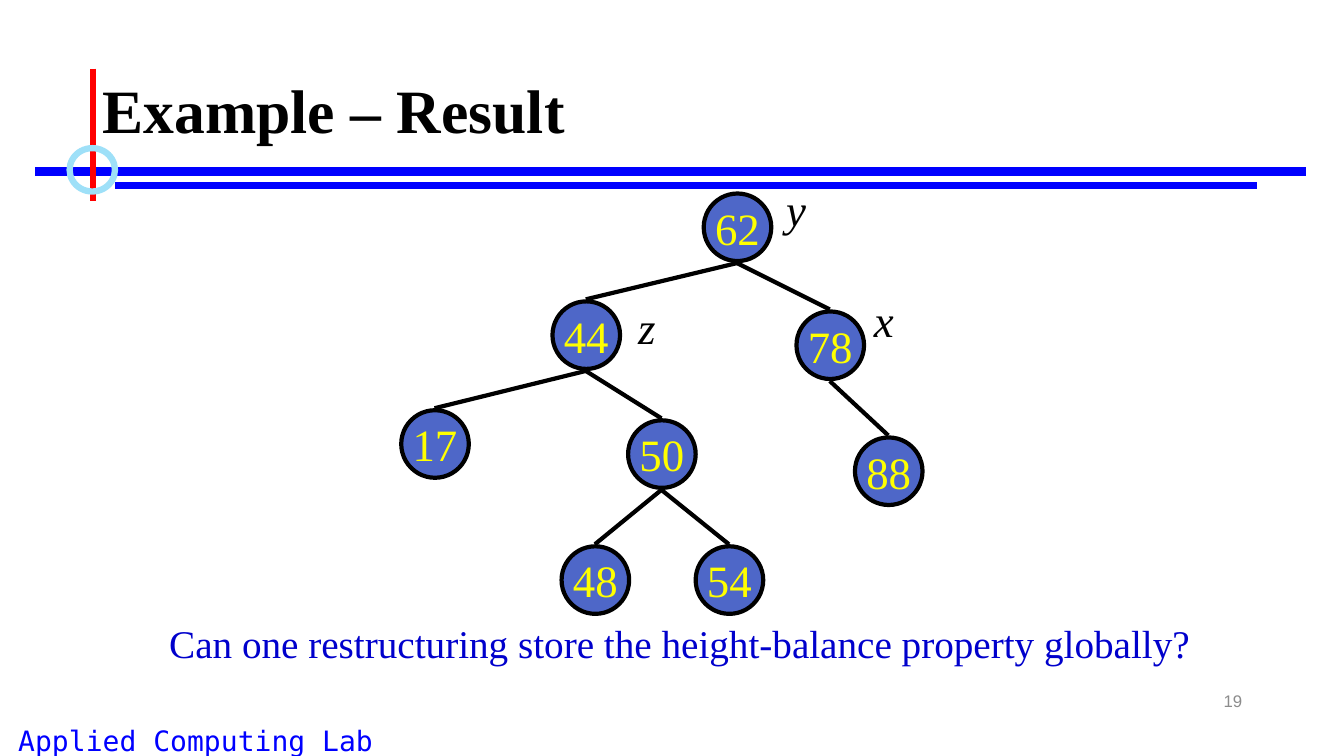
from dataclasses import dataclass

import pptx
import pptx.dml.color
import pptx.enum.shapes
import pptx.enum.text
import pptx.oxml
import pptx.oxml.ns
import pptx.shapes.base
import pptx.slide
import pptx.util

RGBColor = pptx.dml.color.RGBColor
Align = pptx.enum.text.PP_ALIGN
Anchor = pptx.enum.text.MSO_ANCHOR

BLACK = RGBColor(0x00, 0x00, 0x00)
BLUE = RGBColor(0x00, 0x00, 0xFF)
DARK_BLUE = RGBColor(0x00, 0x00, 0xCC)
RED = RGBColor(0xFF, 0x00, 0x00)
SKY = RGBColor(0x9E, 0xE0, 0xF8)
GRAY = RGBColor(0x8C, 0x8C, 0x8C)
NODE_FILL = RGBColor(0x4E, 0x67, 0xC8)
YELLOW = RGBColor(0xFF, 0xFF, 0x00)

SERIF = "Times New Roman"
EMU_PER_PX = 9144  # 100 px to the inch
NODE_SIZE = 67
EDGE_GAP = 2


@dataclass(frozen=True)
class Rule:
    start: tuple[int, int]
    end: tuple[int, int]
    color: RGBColor
    width: float


@dataclass(frozen=True)
class Node:
    left: int
    top: int
    parent: int | None = None

    @property
    def center(self) -> int:
        return self.left + NODE_SIZE // 2


@dataclass(frozen=True)
class Label:
    text: str
    left: int
    top: int


RULES = [
    Rule((35, 170), (1295, 170), BLUE, 6),
    Rule((114, 184), (1247, 184), BLUE, 4.5),
    Rule((92, 68), (92, 199), RED, 4.5),
]

NODES = {
    62: Node(698, 192),
    44: Node(548, 299, parent=62),
    78: Node(790, 309, parent=62),
    17: Node(398, 407, parent=44),
    50: Node(623, 417, parent=44),
    88: Node(848, 434, parent=78),
    48: Node(557, 542, parent=50),
    54: Node(690, 542, parent=50),
}

LABELS = [Label("z", 623, 292), Label("y", 770, 175), Label("x", 857, 286)]


def px(length: int) -> pptx.util.Emu:
    return pptx.util.Emu(length * EMU_PER_PX)


def write_text(shape: pptx.shapes.base.BaseShape, text: str, *, size: int,
               color: RGBColor, font: str = SERIF, bold: bool = False,
               italic: bool = False, align: Align = Align.LEFT,
               anchor: Anchor = Anchor.TOP, wrap: bool = True,
               line_spacing: float = 1.0) -> None:
    frame = shape.text_frame
    frame.word_wrap = wrap
    frame.vertical_anchor = anchor
    para = frame.paragraphs[0]
    para.alignment = align
    para.line_spacing = line_spacing
    span = para.add_run()
    span.text = text
    span.font.name = font
    span.font.size = pptx.util.Pt(size)
    span.font.bold = bold
    span.font.italic = italic
    span.font.color.rgb = color


def add_box(page: pptx.slide.Slide, left: int, top: int, width: int,
            height: int) -> pptx.shapes.base.BaseShape:
    return page.shapes.add_textbox(px(left), px(top), px(width), px(height))


def add_rule(page: pptx.slide.Slide, rule: Rule) -> None:
    line = page.shapes.add_connector(
        pptx.enum.shapes.MSO_CONNECTOR.STRAIGHT,
        *map(px, rule.start), *map(px, rule.end))
    line.line.color.rgb = rule.color
    line.line.width = pptx.util.Pt(rule.width)
    properties = line._element.spPr
    properties.append(pptx.oxml.parse_xml(
        f"<a:effectLst {pptx.oxml.ns.nsdecls('a')}/>"))


def add_ellipse(page: pptx.slide.Slide, left: int, top: int, width: int,
                height: int, *, line_color: RGBColor, line_width: float,
                fill: RGBColor | None = None) -> pptx.shapes.base.BaseShape:
    ellipse = page.shapes.add_shape(
        pptx.enum.shapes.MSO_SHAPE.OVAL,
        px(left), px(top), px(width), px(height))
    ellipse.shadow.inherit = False
    if fill is None:
        ellipse.fill.background()
    else:
        ellipse.fill.solid()
        ellipse.fill.fore_color.rgb = fill
    ellipse.line.color.rgb = line_color
    ellipse.line.width = pptx.util.Pt(line_width)
    return ellipse


def add_tree(page: pptx.slide.Slide) -> None:
    for key, node in NODES.items():
        circle = add_ellipse(page, node.left, node.top, NODE_SIZE, NODE_SIZE,
                             line_color=BLACK, line_width=3, fill=NODE_FILL)
        write_text(circle, str(key), size=32, color=YELLOW,
                   align=Align.CENTER, anchor=Anchor.MIDDLE, wrap=False)
        if node.parent is not None:
            parent = NODES[node.parent]
            add_rule(page, Rule(
                (parent.center, parent.top + NODE_SIZE + EDGE_GAP),
                (node.center, node.top - EDGE_GAP), BLACK, 3))
    for label in LABELS:
        write_text(add_box(page, label.left, label.top, 40, 63), label.text,
                   size=32, color=BLACK, italic=True, wrap=False)


def main() -> None:
    deck = pptx.Presentation()
    deck.slide_width, deck.slide_height = px(1333), px(750)
    page = deck.slides.add_slide(deck.slide_layouts[6])

    write_text(add_box(page, 0, 713, 388, 37), "Applied Computing Lab",
               size=20, color=BLUE, font="DejaVu Sans Mono",
               align=Align.CENTER)
    for rule in RULES:
        add_rule(page, rule)
    add_ellipse(page, 69, 147, 45, 43, line_color=SKY, line_width=4.5)
    write_text(add_box(page, 942, 675, 300, 40), "19", size=12, color=GRAY,
               font="Arial", align=Align.RIGHT, anchor=Anchor.MIDDLE)
    write_text(add_box(page, 92, 40, 1150, 145), "Example – Result", size=44,
               color=BLACK, bold=True, anchor=Anchor.MIDDLE, line_spacing=0.9)
    add_tree(page)
    write_text(add_box(page, 158, 609, 1056, 57),
               "Can one restructuring store the height-balance property globally?",
               size=28, color=DARK_BLUE)

    deck.save("out.pptx")


if __name__ == "__main__":
    main()
